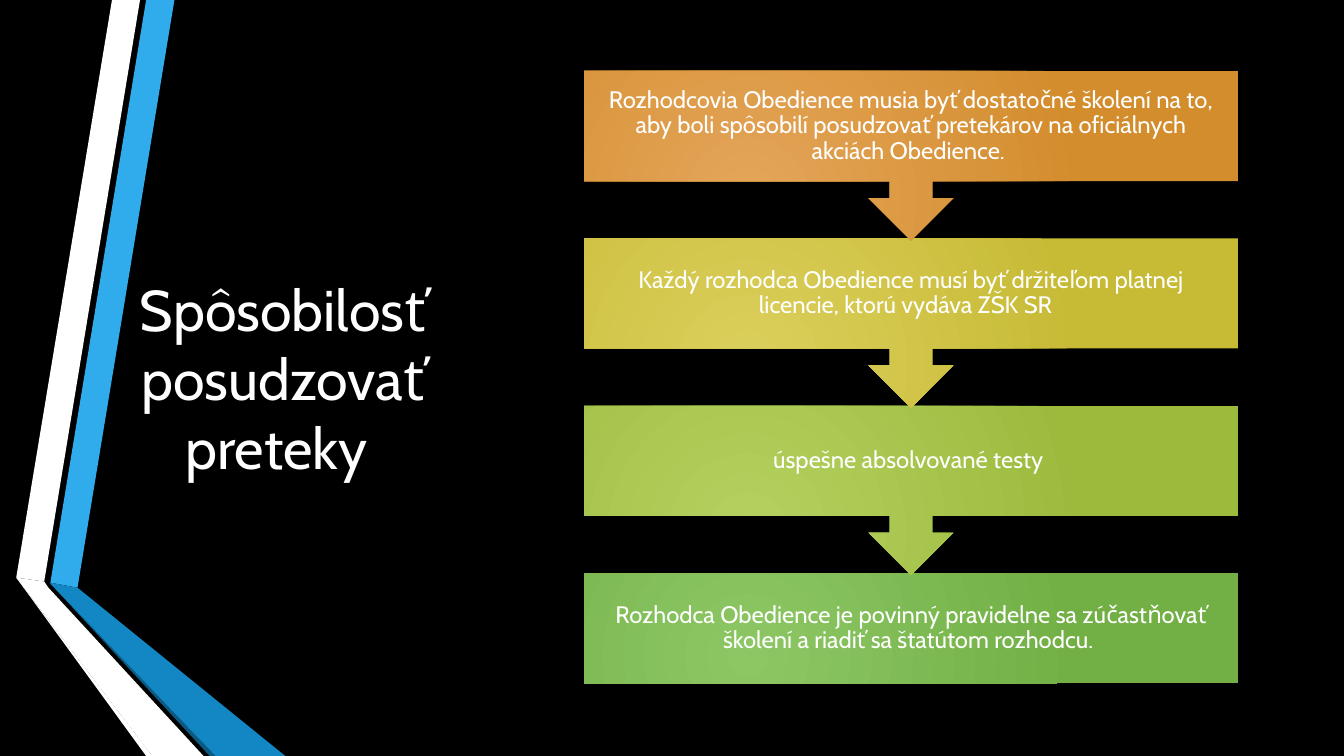
from collections import namedtuple
from dataclasses import dataclass

from lxml import etree
from pptx import Presentation
from pptx.dml.color import RGBColor
from pptx.enum import shapes, text
from pptx.oxml import ns
from pptx.util import Pt

Box = namedtuple("Box", "left top width height")


@dataclass(frozen=True)
class Theme:
    font: str = "Cabin"
    title_size: int = 41
    step_size: int = 17
    background: str = "000000"
    ink: str = "FFFFFF"
    band: str = "30ACEC"
    fold: str = "1287C3"
    fold_edge: str = "0C5A82"
    steps: tuple = (("E4A559", "D38D2D"), ("DBCF5C", "C7BA35"),
                    ("B4D160", "9CBB3D"), ("8CC764", "72AF45"))


THEME = Theme()
TITLE = "Spôsobilosť posudzovať preteky "
STEPS = (
    "Rozhodcovia Obedience musia byť dostatočné školení na to, aby boli spôsobilí "
    "posudzovať pretekárov na oficiálnych akciách Obedience. ",
    "Každý rozhodca Obedience musí byť držiteľom platnej licencie, ktorú vydáva ZŠK SR  ",
    "úspešne absolvované testy ",
    "Rozhodca Obedience je povinný pravidelne sa zúčastňovať školení a riadiť sa "
    "štatútom rozhodcu. ",
)
RIBBONS = (
    (THEME.band, ((36, 416.2), (55.4, 419.8), (124.6, 0), (104.4, 0))),
    (THEME.ink, ((100, 0), (80, 0), (11.6, 412.6), (31.6, 415.4))),
    (THEME.ink, ((11.6, 412.6), (104.4, 540), (108.8, 540))),
    (THEME.fold_edge, ((36, 416.9), (149.8, 540), (154, 540))),
    (THEME.fold, ((36, 416.9), (154, 540), (203.8, 540), (55.4, 419.8), (36, 416.2))),
    (THEME.ink, ((145.4, 540), (34.6, 419.8), (31.6, 415.4), (11.6, 412.6), (108.8, 540))),
)


def add_ribbons(page, box):
    for color, outline in RIBBONS:
        corners = [(Pt(box.left + x), Pt(box.top + y)) for x, y in outline]
        builder = page.shapes.build_freeform(*corners[0], scale=1)
        builder.add_line_segments(corners[1:], close=True)
        ribbon = builder.convert_to_shape()
        ribbon.shadow.inherit = False
        ribbon.fill.solid()
        ribbon.fill.fore_color.rgb = RGBColor.from_string(color)
        ribbon.line.fill.background()


def write_centred(frame, words, size):
    frame.word_wrap = True
    frame.vertical_anchor = text.MSO_ANCHOR.MIDDLE
    para = frame.paragraphs[0]
    para.alignment = text.PP_ALIGN.CENTER
    span = para.add_run()
    span.text = words
    span.font.name = THEME.font
    span.font.size = Pt(size)
    span.font.color.rgb = RGBColor.from_string(THEME.ink)
    return para


def add_title(page, box):
    title = page.shapes.add_textbox(*map(Pt, box))
    write_centred(title.text_frame, TITLE, THEME.title_size)


def fill_radial(shape, colors):
    shape.fill.gradient()
    for stop, color in zip(shape.fill.gradient_stops, colors):
        stop.color.rgb = RGBColor.from_string(color)
    gradient = shape.element.spPr.find(ns.qn("a:gradFill"))
    gradient.remove(gradient.find(ns.qn("a:lin")))
    radial = etree.SubElement(gradient, ns.qn("a:path"), path="circle")
    etree.SubElement(radial, ns.qn("a:fillToRect"),
                     l="50000", t="100000", r="100000", b="50000")


def add_steps(page, box):
    body_height = 78.6
    callout_height = 121
    pitch = (box.height - body_height) / (len(STEPS) - 1)
    placed = list(enumerate(zip(STEPS, THEME.steps)))
    for index, (words, colors) in reversed(placed):
        last = index == len(STEPS) - 1
        kind = shapes.MSO_SHAPE.RECTANGLE if last else shapes.MSO_SHAPE.DOWN_ARROW_CALLOUT
        height = body_height if last else callout_height
        step = page.shapes.add_shape(kind, Pt(box.left), Pt(box.top + index * pitch),
                                     Pt(box.width), Pt(height))
        step.shadow.inherit = False
        step.line.fill.background()
        fill_radial(step, colors)
        frame = step.text_frame
        frame.margin_left = frame.margin_right = Pt(9.4)
        frame.margin_top = frame.margin_bottom = Pt(9.4)
        para = write_centred(frame, words, THEME.step_size)
        para.line_spacing = 0.9


def main():
    deck = Presentation()
    deck.slide_width, deck.slide_height = Pt(960), Pt(540)
    page = deck.slides.add_slide(deck.slide_layouts[6])
    page.background.fill.solid()
    page.background.fill.fore_color.rgb = RGBColor.from_string(THEME.background)
    add_ribbons(page, Box(0, 0, 204, 540))
    add_title(page, Box(75.6, 50.4, 252.7, 438.5))
    add_steps(page, Box(417.2, 50.7, 467, 437.3))
    deck.save("out.pptx")


if __name__ == "__main__":
    main()
